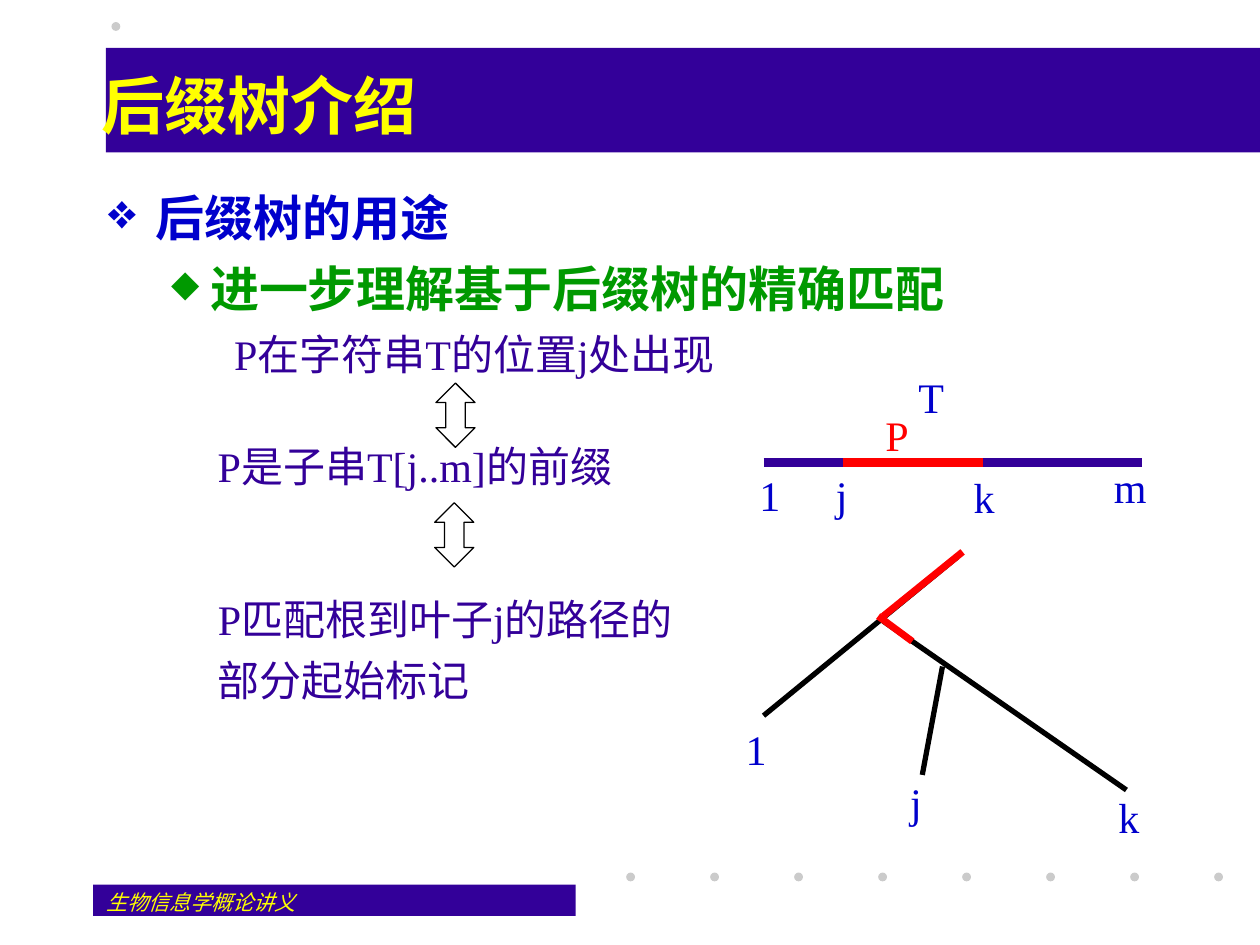
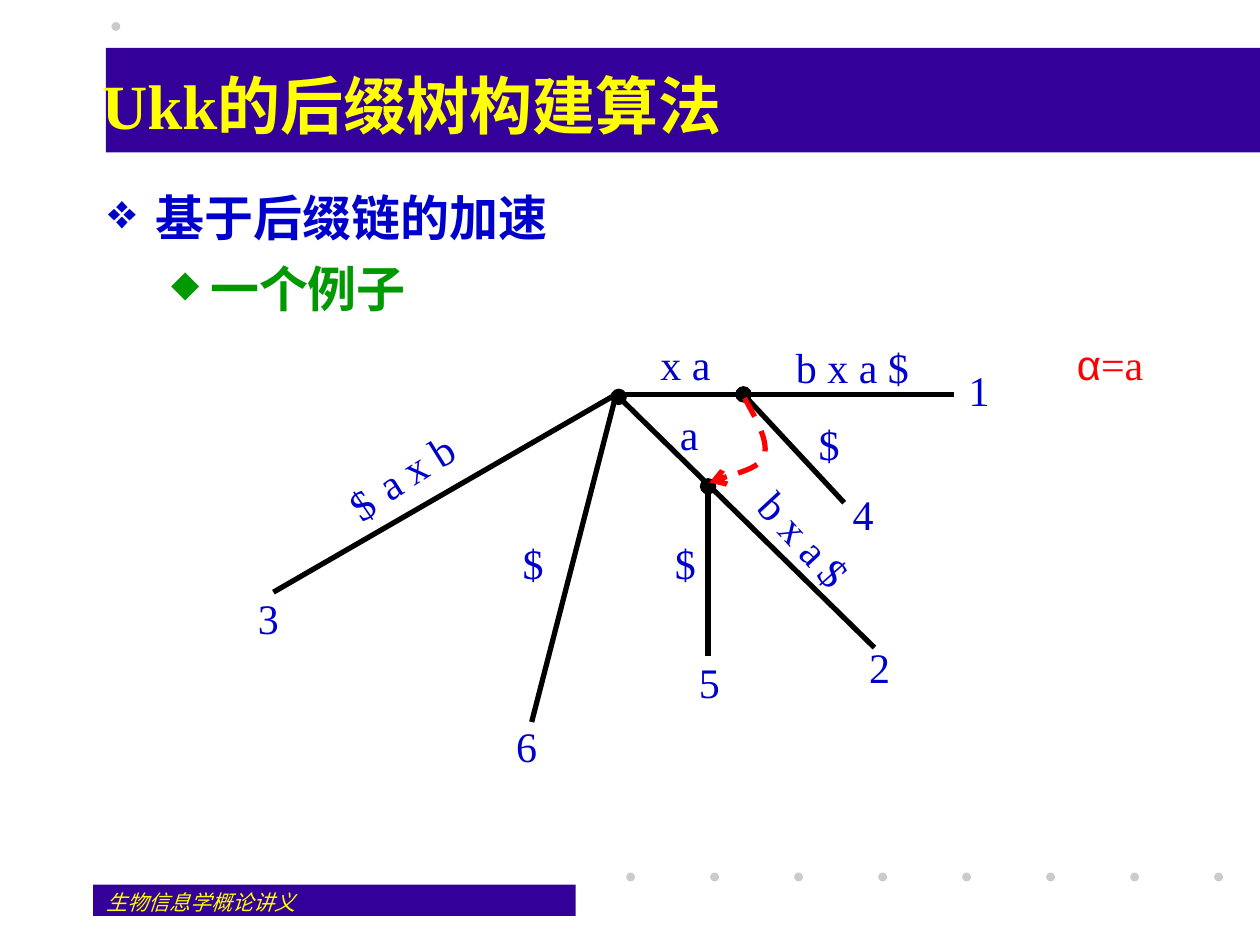
from pptx import Presentation
from pptx.dml.color import RGBColor
from pptx.enum.dml import MSO_LINE
from pptx.enum.shapes import MSO_CONNECTOR, MSO_SHAPE
from pptx.enum.text import MSO_ANCHOR, PP_ALIGN
from pptx.oxml.ns import qn
from pptx.util import Inches, Pt
from lxml.etree import SubElement

# ---- Shared style ----
INDIGO = RGBColor(0x33, 0x00, 0x99)
BLUE = RGBColor(0x00, 0x00, 0xCC)
GREEN = RGBColor(0x00, 0x99, 0x00)
YELLOW = RGBColor(0xFF, 0xFF, 0x00)
RED = RGBColor(0xFF, 0x00, 0x00)
BLACK = RGBColor(0x00, 0x00, 0x00)
GREY = RGBColor(0xCB, 0xCB, 0xCB)
SERIF, SANS = "Times New Roman", "Arial"
W, H = 10, 7.5
FOOTER = "生物信息学概论讲义"
DOT, DOT_COUNT, DOT_LEFT, DOT_STEP = 0.07, 8, 4.97, 2 / 3

# Outline levels: size, bold, colour, left margin, indent, space before, bullet, bullet size %
LEVELS = [
    (28, True, BLUE, 0.38, -0.38, 7, "❖", 100),
    (28, True, GREEN, 0.81, -0.31, 7, "◆", 75),
    (24, False, INDIGO, 1, 0, 6, None, 100),
]

# ---- Content: slide 1 ----
USES_TITLE = "后缀树介绍"
USES_OUTLINE = ["后缀树的用途", "进一步理解基于后缀树的精确匹配", "P在字符串T的位置j处出现"]
# Statements: left, top, width, height, lines
STATEMENTS = [
    (1.63, 3.45, 3.57, 0.5, ["P是子串T[j..m]的前缀"]),
    (1.63, 4.66, 4.05, 0.98, ["P匹配根到叶子j的路径的", "部分起始标记"]),
]
EQUIVALENCES = [(3.46, 3.04), (3.45, 3.99)]
# Lines: from, to, colour, width
STRING_LINES = [
    ((6.06, 3.67), (9.06, 3.67), INDIGO, 5),
    ((6.69, 3.67), (7.8, 3.67), RED, 5),
]
TREE_LINES = [
    ((7.6, 4.42), (6.06, 5.68), BLACK, 3),
    ((7.01, 4.93), (8.94, 6.27), BLACK, 3),
    ((7.48, 5.29), (7.32, 6.15), BLACK, 3),
    ((7.64, 4.38), (7.01, 4.89), RED, 4),
    ((6.97, 4.89), (7.24, 5.09), RED, 4),
]
# Labels: text, centre x, centre y, and if needed rotation and colour
USES_LABELS = [
    ("T", 7.39, 3.15), ("P", 7.12, 3.45, 0, RED),
    ("1", 6.11, 3.93), ("j", 6.68, 3.93), ("k", 7.81, 3.94), ("m", 8.97, 3.86),
    ("1", 6, 5.94), ("j", 7.27, 6.36), ("k", 8.96, 6.48),
]

# ---- Content: slide 2 ----
UKK_TITLE = "Ukk的后缀树构建算法"
UKK_OUTLINE = ["基于后缀链的加速", "一个例子"]
ROOT, NODE_XA, NODE_A = (4.91, 3.15), (5.9, 3.13), (5.62, 3.86)
FORK = (4.89, 3.13)
EDGES = [
    (FORK, (7.57, 3.13)), (NODE_XA, (6.7, 3.99)), (FORK, (6.94, 5.14)),
    (NODE_A, (5.62, 5.21)), (FORK, (4.22, 5.73)), (FORK, (2.17, 4.7)),
]
EDGE_LABELS = [
    ("x a", 5.44, 2.89), ("b x a", 6.64, 2.91), ("$", 7.13, 2.91),
    ("$", 6.58, 3.52), ("a", 5.47, 3.44),
    ("b x a", 6.31, 4.19, 47.2), ("$", 6.63, 4.54, 48.5),
    ("$", 5.44, 4.47), ("$", 4.23, 4.47),
    ("a x b", 3.3, 3.7, -31.9), ("$", 2.87, 4, -34.2),
]
LEAF_LABELS = [
    ("1", 7.77, 3.09), ("2", 6.98, 5.29), ("3", 2.13, 4.9),
    ("4", 6.85, 4.08), ("5", 5.63, 5.41), ("6", 4.18, 5.92),
]
ALPHA_LABEL = ("α=a", 8.81, 2.89, 0, RED)
# Suffix link: cubic curves, each with four control points
SUFFIX_LINK = [
    [(5.91, 3.16), (6.01, 3.34), (6.11, 3.52), (6.06, 3.63)],
    [(6.06, 3.63), (6.02, 3.74), (5.7, 3.79), (5.63, 3.83)],
]


# ---- Drawing helpers ----
def add_shape(s, kind, left, top, width, height, fill=None, line=None):
    sp = s.shapes.add_shape(kind, *map(Inches, (left, top, width, height)))
    sp.shadow.inherit = False
    if fill is None:
        sp.fill.background()
    else:
        sp.fill.solid()
        sp.fill.fore_color.rgb = fill
    if line is None:
        sp.line.fill.background()
    else:
        sp.line.color.rgb = line
        sp.line.width = Pt(0.75)
    return sp


def add_dot(s, x, y, size, fill, line=None):
    add_shape(s, MSO_SHAPE.OVAL, x - size / 2, y - size / 2, size, size, fill, line)


def add_line(s, start, end, color=BLACK, width=3):
    cx = s.shapes.add_connector(MSO_CONNECTOR.STRAIGHT, *map(Inches, start + end))
    cx.line.color.rgb = color
    cx.line.width = Pt(width)
    SubElement(cx._element.spPr, qn("a:effectLst"))


def style_runs(p, size, color, bold=False, italic=False):
    for r in p.runs:
        f = r.font
        f.name, f.size, f.bold, f.italic = SERIF, Pt(size), bold, italic
        f.color.rgb = color


def add_text(s, left, top, width, height, lines, size, color, wrap=True, **style):
    sp = s.shapes.add_textbox(*map(Inches, (left, top, width, height)))
    tf = sp.text_frame
    tf.word_wrap = wrap
    tf.text = "\n".join(lines)
    for i, p in enumerate(tf.paragraphs):
        if i:
            p.space_before = Pt(6)
        style_runs(p, size, color, **style)
    return sp


def add_label(s, text, x, y, angle=0, color=BLUE):
    width, height = 0.14 * len(text) + 0.15, 0.4
    sp = add_text(s, x - width / 2, y - height / 2, width, height, [text], 24, color, wrap=False)
    sp.rotation = angle
    tf = sp.text_frame
    tf.margin_left = tf.margin_right = tf.margin_top = tf.margin_bottom = 0
    tf.paragraphs[0].alignment = PP_ALIGN.CENTER
    return sp


def add_outline(s, items):
    tf = add_text(s, 0.76, 1.44, 8.9, 5.38, items, 24, INDIGO).text_frame
    for i, (p, level) in enumerate(zip(tf.paragraphs, LEVELS)):
        size, bold, color, margin, indent, before, bullet, percent = level
        p.level = i
        p.space_before = Pt(before if i else 0)
        pPr = p._p.get_or_add_pPr()
        pPr.set("marL", str(Inches(margin)))
        pPr.set("indent", str(Inches(indent)))
        if bullet:
            clr = SubElement(pPr, qn("a:buClr"))
            SubElement(clr, qn("a:srgbClr"), val=str(color))
            SubElement(pPr, qn("a:buSzPct"), val=str(percent * 1000))
            SubElement(pPr, qn("a:buChar"), char=bullet)
        else:
            SubElement(pPr, qn("a:buNone"))
        style_runs(p, size, color, bold)


def curve_points(curves, steps=16):
    points = [curves[0][0]]
    for curve in curves:
        for i in range(1, steps + 1):
            t = i / steps
            weights = ((1 - t) ** 3, 3 * t * (1 - t) ** 2, 3 * t * t * (1 - t), t ** 3)
            points.append(tuple(sum(w * c[axis] for w, c in zip(weights, curve)) for axis in (0, 1)))
    return points


def add_suffix_link(s):
    # Freeform coordinates are whole numbers, so they are given in EMU
    start, *rest = [(Inches(x), Inches(y)) for x, y in curve_points(SUFFIX_LINK)]
    fb = s.shapes.build_freeform(*start)
    fb.add_line_segments(rest, close=False)
    sp = fb.convert_to_shape()
    sp.shadow.inherit = False
    sp.fill.background()
    sp.line.color.rgb = RED
    sp.line.width = Pt(3)
    sp.line.dash_style = MSO_LINE.DASH
    SubElement(sp.line._get_or_add_ln(), qn("a:tailEnd"), type="arrow")


def new_slide(prs, title, outline):
    s = prs.slides.add_slide(prs.slide_layouts[6])
    # Bands and dots
    add_shape(s, MSO_SHAPE.RECTANGLE, 0.74, 7.02, 3.83, 0.25, INDIGO)
    add_shape(s, MSO_SHAPE.RECTANGLE, 0.84, 0.38, W - 0.84, 0.83, INDIGO)
    add_dot(s, 0.92, 0.21, DOT, GREY)
    for i in range(DOT_COUNT):
        add_dot(s, DOT_LEFT + i * DOT_STEP + DOT / 2, 6.96, DOT, GREY)
    # Footer, title and outline
    add_text(s, 0.75, 7.01, 2.08, 0.25, [FOOTER], 12, YELLOW, italic=True)
    sp = add_text(s, 0.71, 0.33, 8.9, 1, [title], 36, YELLOW, bold=True)
    sp.text_frame.vertical_anchor = MSO_ANCHOR.MIDDLE
    add_outline(s, outline)
    return s


# ---- Slides ----
def build_uses(prs):
    s = new_slide(prs, USES_TITLE, USES_OUTLINE)
    for left, top in EQUIVALENCES:
        sp = add_shape(s, MSO_SHAPE.UP_DOWN_ARROW, left, top, 0.31, 0.51, line=BLACK)
        sp.adjustments[0], sp.adjustments[1] = 0.32, 0.5
    for line in STRING_LINES + TREE_LINES:
        add_line(s, *line)
    for label in USES_LABELS:
        add_label(s, *label)
    for *box, lines in STATEMENTS:
        add_text(s, *box, lines, 24, INDIGO)


def build_ukk(prs):
    s = new_slide(prs, UKK_TITLE, UKK_OUTLINE)
    for start, end in EDGES:
        add_line(s, start, end)
    for x, y in (ROOT, NODE_XA, NODE_A):
        add_dot(s, x, y, 0.12, BLACK, BLACK)
    for label in EDGE_LABELS + LEAF_LABELS:
        add_label(s, *label)
    add_suffix_link(s)
    # The Greek letter is sans, the rest serif
    p = add_label(s, *ALPHA_LABEL).text_frame.paragraphs[0]
    p.runs[0].text = "α"
    p.add_run().text = "=a"
    style_runs(p, 24, RED)
    p.runs[0].font.name = SANS


def main():
    prs = Presentation()
    prs.slide_width, prs.slide_height = Inches(W), Inches(H)
    build_uses(prs)
    build_ukk(prs)
    prs.save("out.pptx")


if __name__ == "__main__":
    main()
